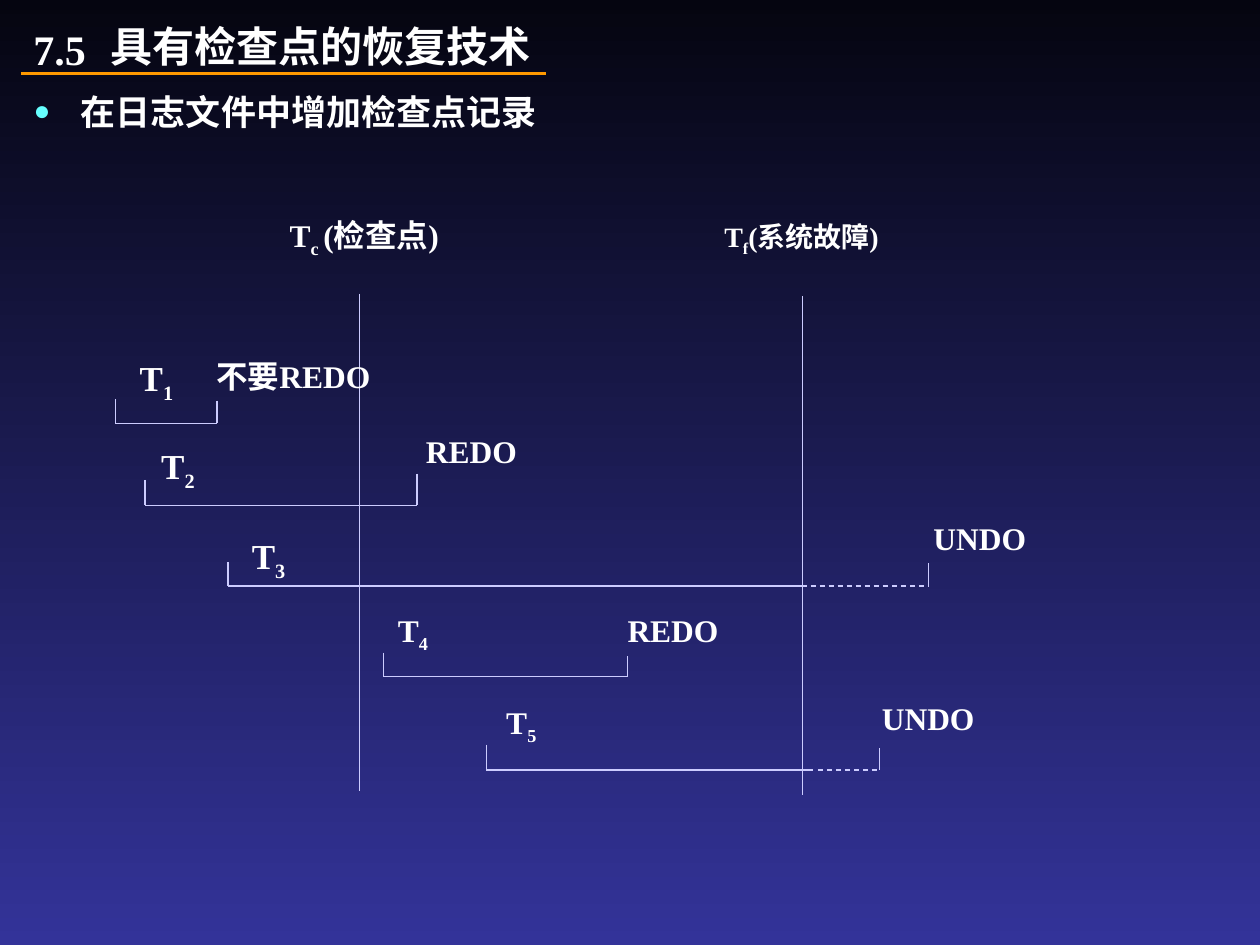
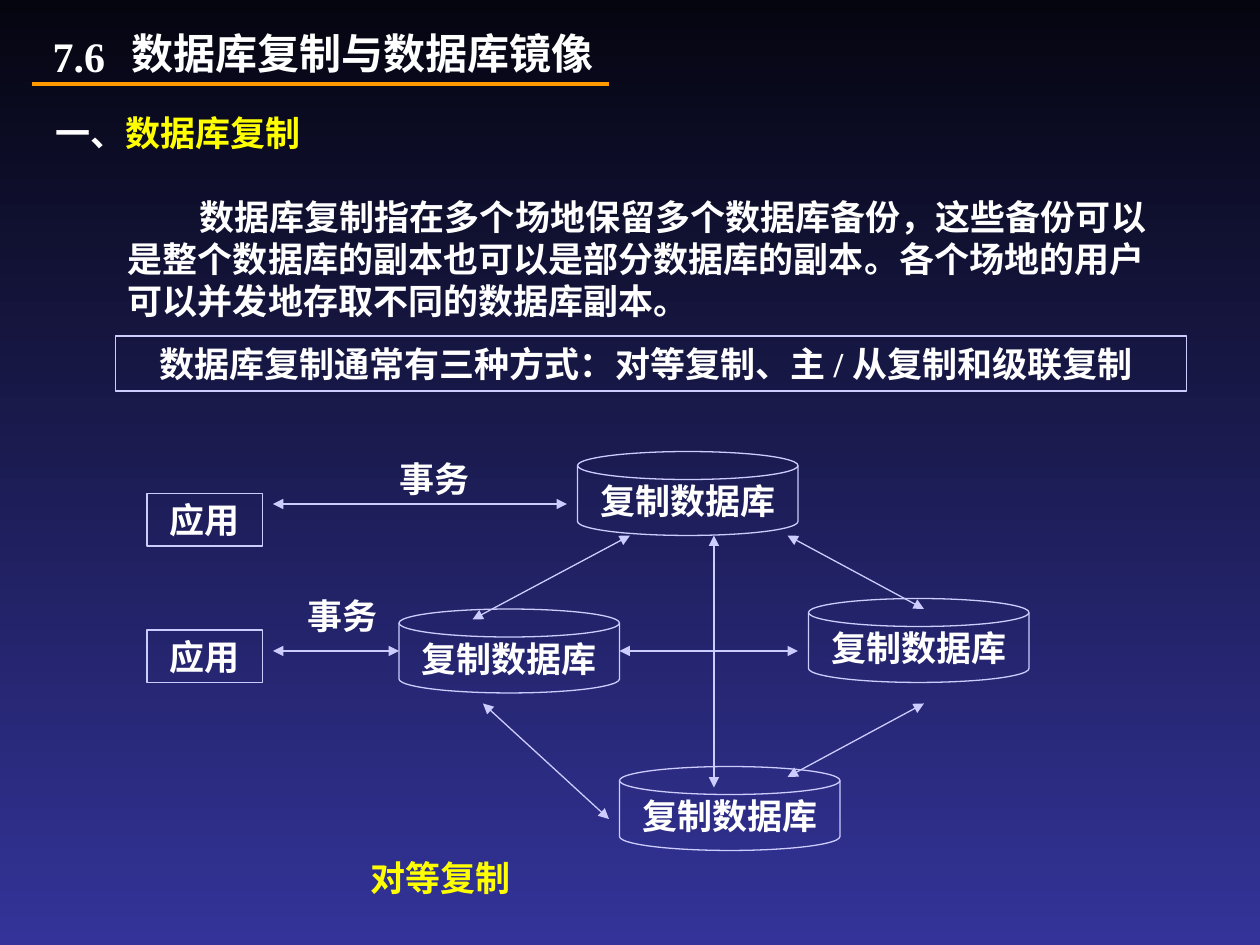
from lxml import etree
from pptx import Presentation
from pptx.dml.color import RGBColor
from pptx.enum import dml, shapes, text
from pptx.oxml.ns import qn
from pptx.util import Pt

WHITE = RGBColor(0xFF, 0xFF, 0xFF)
YELLOW = RGBColor(0xFF, 0xFF, 0x00)
CYAN = RGBColor(0x66, 0xFF, 0xFF)
ORANGE = RGBColor(0xFF, 0x99, 0x00)
LILAC = RGBColor(0xCC, 0xCC, 0xFF)
NIGHT = RGBColor(0x05, 0x05, 0x10)
INDIGO = RGBColor(0x33, 0x33, 0x99)
LATIN = "Times New Roman"
HAN = "Noto Sans CJK SC"
LEFT, CENTER = text.PP_ALIGN.LEFT, text.PP_ALIGN.CENTER
TOP, MIDDLE = text.MSO_ANCHOR.TOP, text.MSO_ANCHOR.MIDDLE


def paint(master):
    """Give every slide the dark vertical gradient."""
    fill = master.background.fill
    fill.gradient()
    fill.gradient_angle = 270
    for stop, color in zip(fill.gradient_stops, (NIGHT, INDIGO)):
        stop.color.rgb = color


def write(shape, runs, size, color=WHITE, align=LEFT, anchor=TOP,
          indent=0, bullet=None, face=LATIN):
    """Fill a shape with one bold paragraph.

    runs is a string or a list of (words, style) with style None, "sub" or a colour.
    """
    frame = shape.text_frame
    frame.word_wrap = True
    frame.auto_size = text.MSO_AUTO_SIZE.NONE
    frame.vertical_anchor = anchor
    par = frame.paragraphs[0]
    par.alignment = align
    par.space_before = Pt(0)
    for words, style in [(runs, None)] if isinstance(runs, str) else runs:
        run = par.add_run()
        run.text = words
        if style == "sub":
            run._r.get_or_add_rPr().set("baseline", "-25000")
        elif style is not None:
            run.font.color.rgb = style
    props = par._p.get_or_add_pPr()
    if bullet:
        props.set("marL", str(Pt(indent)))
        props.set("indent", str(Pt(-indent)))
        tint = etree.SubElement(props, qn("a:buClr"))
        etree.SubElement(tint, qn("a:srgbClr")).set("val", str(CYAN))
        etree.SubElement(props, qn("a:buSzPct")).set("val", "80000")
        etree.SubElement(props, qn("a:buFont")).set("typeface", LATIN)
        etree.SubElement(props, qn("a:buChar")).set("char", bullet)
    elif indent:
        props.set("indent", str(Pt(indent)))
    font = par.font
    font.name, font.size, font.bold = face, Pt(size), True
    font.color.rgb = color
    etree.SubElement(font._rPr, qn("a:ea")).set("typeface", HAN)


def place(shape, box):
    shape.left, shape.top, shape.width, shape.height = map(Pt, box)


def label(slide, box, runs, size, **style):
    write(slide.shapes.add_textbox(*map(Pt, box)), runs, size, **style)


def frame(slide, kind, box, words, **style):
    """Draw an outlined shape holding 20 pt text."""
    shape = slide.shapes.add_shape(kind, *map(Pt, box))
    shape.shadow.inherit = False
    shape.fill.background()
    shape.line.color.rgb = LILAC
    shape.line.width = Pt(0.75)
    write(shape, words, 20, **style)


def rule(slide, x1, y1, x2, y2, color=LILAC, width=0.75, dash=False, arrows=False):
    line = slide.shapes.add_connector(
        shapes.MSO_CONNECTOR.STRAIGHT, Pt(x1), Pt(y1), Pt(x2), Pt(y2))
    line.line.color.rgb = color
    line.line.width = Pt(width)
    if dash:
        line.line.dash_style = dml.MSO_LINE.DASH
    if arrows:
        for end in ("a:headEnd", "a:tailEnd"):
            etree.SubElement(line.line._get_or_add_ln(), qn(end)).set("type", "triangle")
    etree.SubElement(line._element.spPr, qn("a:effectLst"))


def head(slide, number, title, spot, box, bar, face=LATIN):
    """Place section number, title and orange underline (x1, x2, y)."""
    place(slide.shapes.title, box)
    write(slide.shapes.title, title, 24, align=CENTER, anchor=MIDDLE, face=face)
    label(slide, (*spot, 60, 36), number, 24)
    x1, x2, y = bar
    rule(slide, x1, y, x2, y, ORANGE, 2.25)


def span(slide, x, y, width, rises, cut):
    """Draw a transaction bracket; cut is (solid end, dashed start) or None."""
    end = x + width
    rule(slide, x, y - rises[0], x, y)
    rule(slide, end, y - rises[1], end, y)
    rule(slide, x, y, cut[0] if cut else end, y)
    if cut:
        rule(slide, cut[1], y, end, y, dash=True)


def timeline(slide, left, top):
    moments = [
        # line x, line top, line end, label x, label y, mark, name, size
        (139.2, 47.8, 332.2, 92.4, 0.2, "c ", "(检查点)", 18),
        (392.6, 49.2, 334.3, 340.8, 1.7, "f", "(系统故障)", 16),
    ]
    for x, y1, y2, tx, ty, mark, name, size in moments:
        rule(slide, left + x, top + y1, left + x, top + y2, width=0.5)
        label(slide, (left + tx, top + ty, 125, 52),
              [("T", None), (mark, "sub"), (name, None)], size)

    works = [
        # x, y, width, tick heights, cut, name offset, size, verdict, verdict offset
        (0, 122, 58, (14, 13), None, (6.7, -41.8), 20, "不要REDO", (-7.4, -41.8)),
        (16.8, 168.7, 155.5, (14.4, 18), None, (2.2, -38), 20, "REDO", (-2, -45.3)),
        (64.3, 214.8, 400.3, (13.7, 13), (392, 392), (6.5, -33), 20, "UNDO", (-4.3, -41.8)),
        (153, 266.6, 139.6, (13.6, 11.6), None, (1.3, -41), 18, "REDO", (-7.1, -41)),
        (212, 320, 224.6, (14.5, 12.3), (398.4, 401.3), (4.2, -41.8), 18, "UNDO", (-5.8, -44)),
    ]
    for index, work in enumerate(works, 1):
        x, y, width, rises, cut, near, size, verdict, far = work
        x, y = left + x, top + y
        cut = cut and [left + c for c in cut]
        span(slide, x, y, width, rises, cut)
        label(slide, (x + near[0], y + near[1], 60, 52),
              [("T", None), (str(index), "sub")], size)
        label(slide, (x + width + far[0], y + far[1], 112, 52), verdict, 18)


def recovery(deck):
    slide = deck.slides.add_slide(deck.slide_layouts[1])
    head(slide, "7.5", "具有检查点的恢复技术", (12, 10), (48, 11, 270, 30), (12, 312, 42))
    body = slide.placeholders[1]
    place(body, (12, 48, 360, 32))
    write(body, "在日志文件中增加检查点记录", 20, indent=27, bullet="●")
    timeline(slide, 66, 120)


def peers(slide, left, top):
    """Draw the peer replication diagram."""
    for y in (24, 102):
        frame(slide, shapes.MSO_SHAPE.RECTANGLE, (left, top + y, 66, 30), "应用",
              align=CENTER, anchor=MIDDLE)
    for x, y in ((246, 0), (144, 90), (378, 84), (270, 180)):
        frame(slide, shapes.MSO_SHAPE.FLOWCHART_MAGNETIC_DISK,
              (left + x, top + y, 126, 48), "复制数据库", align=CENTER, anchor=MIDDLE)
    links = [
        (72, 30, 240, 30), (72, 114, 144, 114), (186, 96, 276, 48),
        (270, 114, 372, 114), (324, 48, 324, 192), (192, 144, 264, 210),
        (366, 48, 444, 90), (366, 186, 444, 144),
    ]
    for x1, y1, x2, y2 in links:
        rule(slide, left + x1, top + y1, left + x2, top + y2, arrows=True)
    notes = [(137, 0, "事务", WHITE), (84.5, 78, "事务", WHITE),
             (120.5, 228, "对等复制", YELLOW)]
    for x, y, words, color in notes:
        label(slide, (left + x, top + y, 110, 32), words, 20, color=color)


def copying(deck):
    slide = deck.slides.add_slide(deck.slide_layouts[5])
    head(slide, "7.6", "数据库复制与数据库镜像", (23, 14), (42, 9, 330, 42),
         (18, 348, 48), face=HAN)
    label(slide, (24.5, 60, 170, 32), [("一、", None), ("数据库复制", YELLOW)], 20)
    label(slide, (66, 108, 607, 79),
          "数据库复制指在多个场地保留多个数据库备份，这些备份可以是整个数据库的副本"
          "也可以是部分数据库的副本。各个场地的用户可以并发地存取不同的数据库副本。",
          20, indent=41)
    frame(slide, shapes.MSO_SHAPE.RECTANGLE, (66, 192, 612, 31.5),
          "数据库复制通常有三种方式：对等复制、主 / 从复制和级联复制", indent=18)
    peers(slide, 84, 258)


def main():
    deck = Presentation()
    deck.slide_width, deck.slide_height = Pt(720), Pt(540)
    paint(deck.slide_master)
    recovery(deck)
    copying(deck)
    deck.save("out.pptx")


if __name__ == "__main__":
    main()
